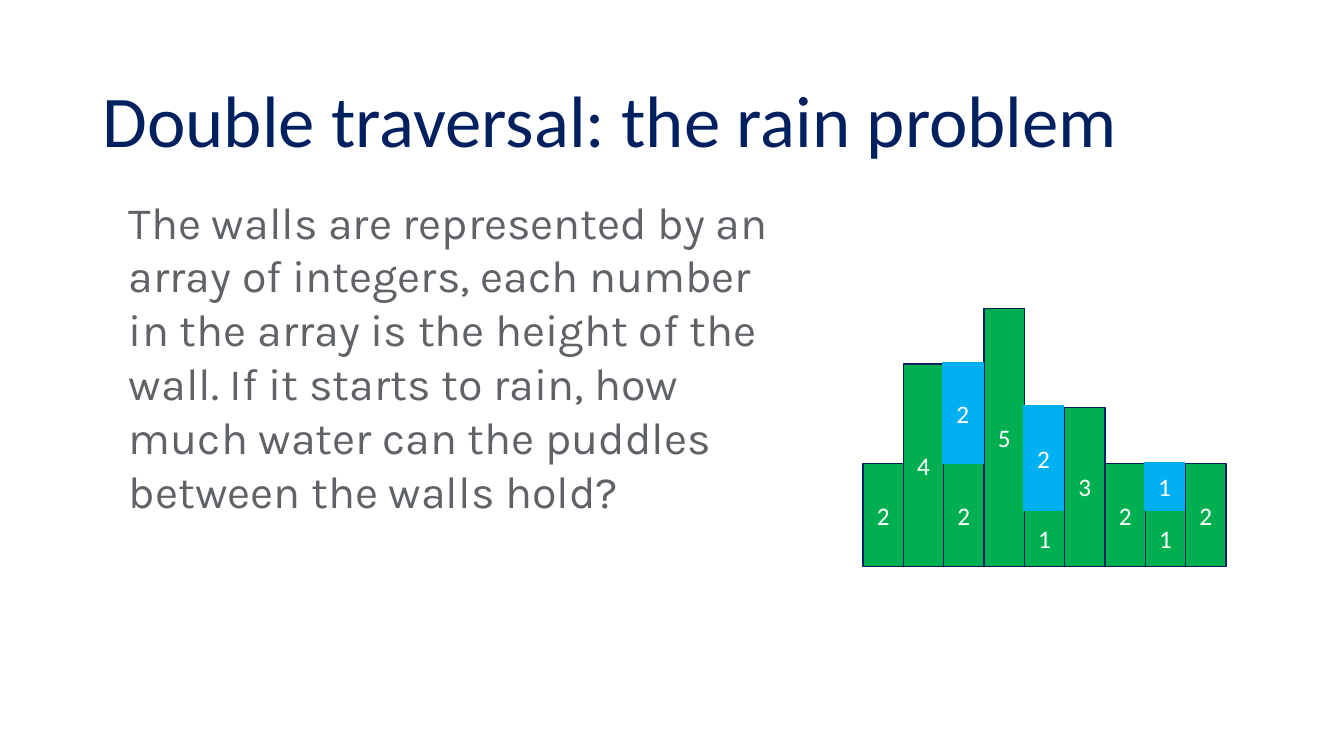
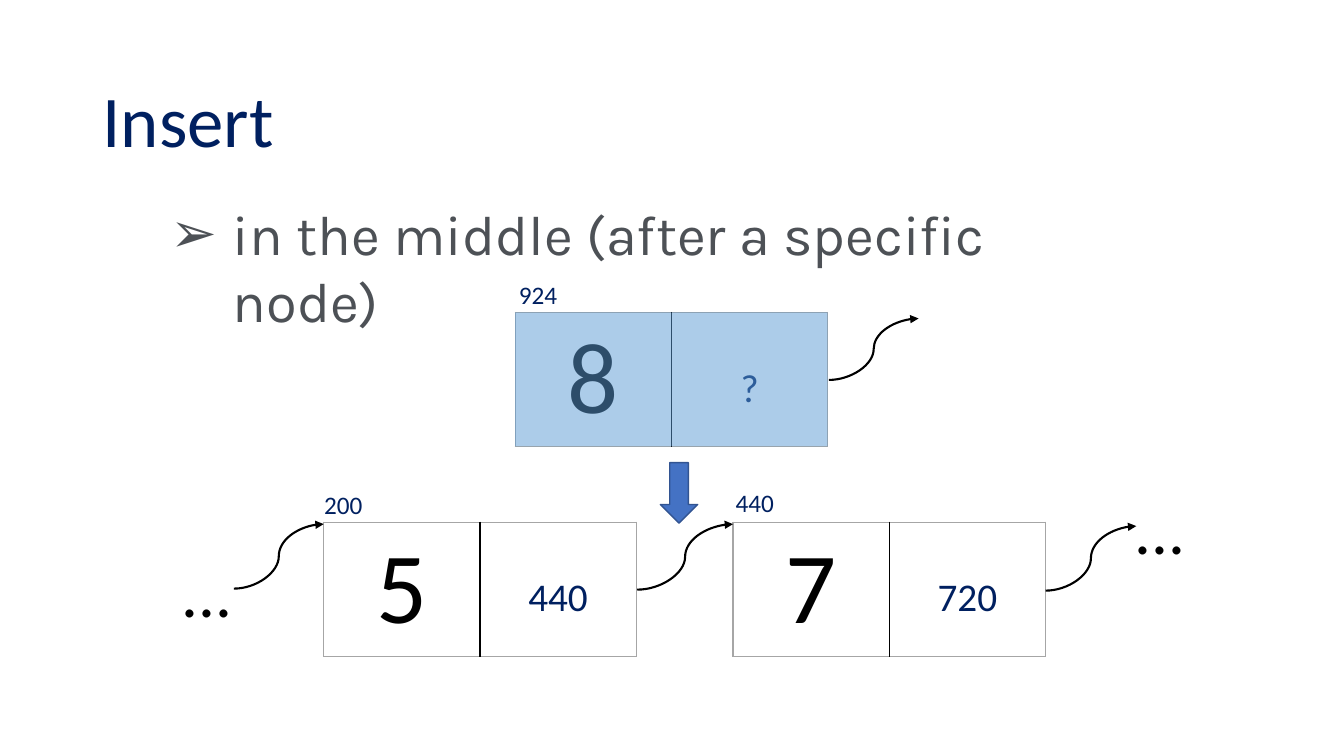
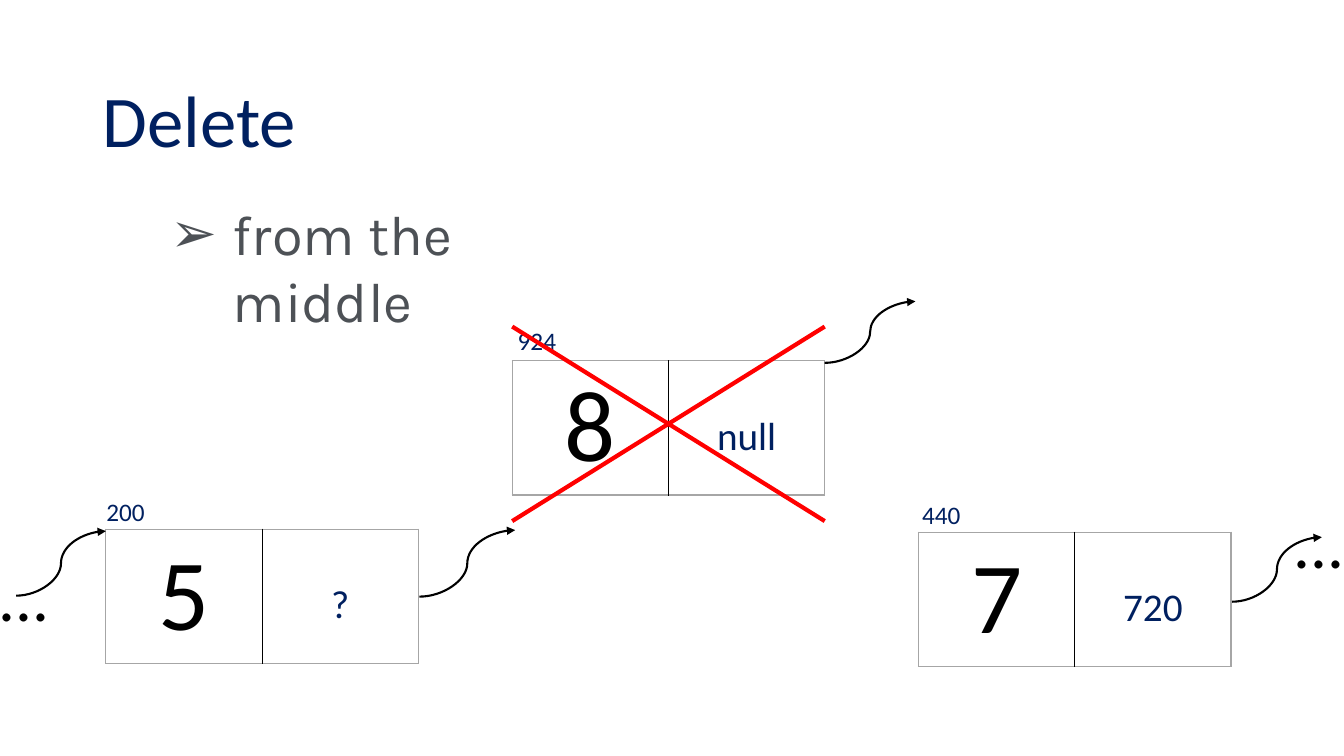
from dataclasses import dataclass

from lxml.etree import SubElement
from pptx import Presentation
from pptx.dml.color import RGBColor
from pptx.enum.shapes import MSO_CONNECTOR as Connector, MSO_SHAPE as Preset
from pptx.enum.text import MSO_ANCHOR as Anchor, MSO_AUTO_SIZE as AutoSize, PP_ALIGN as Align
from pptx.oxml.ns import qn
from pptx.util import Inches, Pt


@dataclass(frozen=True)
class Theme:
    heading_font: str = "Calibri"
    body_font: str = "Karla"
    navy: str = "002060"
    black: str = "000000"
    white: str = "FFFFFF"
    grey: str = "5F6368"
    dark_grey: str = "4D5156"
    border: str = "A6A6A6"
    wall: str = "00B050"
    water: str = "00B0F0"
    highlight: str = "5B9BD5"
    arrow: str = "4472C4"
    arrow_line: str = "325491"
    cross: str = "FF0000"
    title_size: int = 52
    body_size: int = 32
    bullet_size: int = 40
    value_size: int = 72
    ellipsis_size: int = 48
    pointer_size: int = 28
    label_size: int = 18


THEME = Theme()
WALLS = [2, 4, 2, 5, 1, 3, 2, 1, 2]
WALL_HEIGHT = {1: 0.56, 2: 1.02, 3: 1.58, 4: 2.01, 5: 2.56}
WALL_LEFT, WALL_WIDTH, GROUND = 8.56, 0.4, 5.62
NODE_WIDTH, NODE_HEIGHT = 3.1, 1.33


def rgb(color):
    return RGBColor.from_string(color)


def style_text(paragraph, size, color, font=THEME.heading_font, align=None):
    paragraph.font.name = font
    paragraph.font.size = Pt(size)
    paragraph.font.color.rgb = rgb(color)
    paragraph.alignment = align


def add_text(slide, box, text, size, color, font=THEME.heading_font, align=None, wrap=True):
    shape = slide.shapes.add_textbox(*map(Inches, box))
    frame = shape.text_frame
    frame.word_wrap = wrap
    frame.auto_size = AutoSize.SHAPE_TO_FIT_TEXT
    frame.text = text
    style_text(frame.paragraphs[0], size, color, font, align)
    return frame


def add_titled_slide(presentation, title):
    slide = presentation.slides.add_slide(presentation.slide_layouts[6])
    frame = add_text(slide, (0.92, 0.61, 11.5, 1.24), title, THEME.title_size, THEME.navy)
    frame.auto_size = AutoSize.NONE
    frame.vertical_anchor = Anchor.MIDDLE
    frame.paragraphs[0].line_spacing = 0.9
    return slide


def add_bullet(slide, width, text):
    frame = add_text(slide, (1.09, 1.93, width, 0.77), text, THEME.bullet_size,
                     THEME.dark_grey, THEME.body_font)
    paragraph = frame.paragraphs[0]
    paragraph.level = 1
    properties = paragraph._p.get_or_add_pPr()
    properties.set("marL", str(Inches(1.12)))
    properties.set("indent", str(Inches(-0.62)))
    bullet_font = properties.makeelement(qn("a:buFont"), {"typeface": "Arial"})
    bullet = properties.makeelement(qn("a:buChar"), {"char": "➢"})
    properties.insert_element_before(bullet_font, "a:tabLst", "a:defRPr", "a:extLst")
    properties.insert_element_before(bullet, "a:tabLst", "a:defRPr", "a:extLst")


def add_shape(slide, preset, box, fill, line=None):
    shape = slide.shapes.add_shape(preset, *map(Inches, box))
    shape.shadow.inherit = False
    shape.fill.solid()
    shape.fill.fore_color.rgb = rgb(fill)
    if line:
        shape.line.color.rgb = rgb(line)
        shape.line.width = Pt(1)
    else:
        shape.line.fill.background()
    return shape


def add_bar(slide, box, number, fill, line):
    frame = add_shape(slide, Preset.RECTANGLE, box, fill, line).text_frame
    frame.text = str(number)
    frame.vertical_anchor = Anchor.MIDDLE
    style_text(frame.paragraphs[0], THEME.label_size, THEME.white, align=Align.CENTER)


def add_walls(slide):
    for index, height in enumerate(WALLS):
        size = WALL_HEIGHT[height]
        box = (WALL_LEFT + index * WALL_WIDTH, GROUND - size, WALL_WIDTH, size)
        add_bar(slide, box, height, THEME.wall, THEME.navy)


def add_puddles(slide):
    for index, height in enumerate(WALLS):
        level = min(max(WALLS[:index + 1]), max(WALLS[index:]))
        if level > height:
            depth = WALL_HEIGHT[level] - WALL_HEIGHT[height] + 0.01
            box = (WALL_LEFT + index * WALL_WIDTH - 0.01,
                   GROUND - WALL_HEIGHT[level] - 0.01, WALL_WIDTH, depth)
            add_bar(slide, box, level - height, THEME.water, THEME.water)


def set_border(cell, side, color):
    properties = cell._tc.get_or_add_tcPr()
    line = properties.makeelement(qn(f"a:{side}"), {"w": str(Pt(1))})
    fill = SubElement(line, qn("a:solidFill"))
    SubElement(fill, qn("a:srgbClr"), val=color)
    properties.append(line)


def add_node(slide, left, top, value, pointer, address, label_left, label_top):
    box = map(Inches, (left, top, NODE_WIDTH, NODE_HEIGHT))
    table = slide.shapes.add_table(1, 2, *box).table
    table.first_row = False
    table.horz_banding = False
    contents = [(value, THEME.value_size, THEME.black, "lnR"),
                (pointer, THEME.pointer_size, THEME.navy, "lnL")]
    for cell, (text, size, color, divider) in zip(table.rows[0].cells, contents):
        cell.text = text
        style_text(cell.text_frame.paragraphs[0], size, color, align=Align.CENTER)
        for side in ("lnL", "lnR", "lnT", "lnB"):
            set_border(cell, side, THEME.black if side == divider else THEME.border)
        cell.fill.background()
    table.cell(0, 1).margin_top = Inches(0.52)
    add_text(slide, (label_left, label_top, 0.89, 0.4), address, THEME.label_size,
             THEME.navy, align=Align.CENTER)


def add_line(slide, kind, start, end, color, width):
    line = slide.shapes.add_connector(kind, *map(Inches, (*start, *end)))
    line.line.color.rgb = rgb(color)
    line.line.width = Pt(width)
    SubElement(line._element.spPr, qn("a:effectLst"))
    return line


def add_pointer(slide, start, end):
    pointer = add_line(slide, Connector.CURVE, start, end, THEME.black, 1.5)
    SubElement(pointer.line._get_or_add_ln(), qn("a:tailEnd"), type="triangle")


def add_ellipsis(slide, left, top):
    add_text(slide, (left, top, 0.71, 0.91), "...", THEME.ellipsis_size, THEME.black, wrap=False)


def build_rain(presentation):
    slide = add_titled_slide(presentation, "Double traversal: the rain problem")
    add_text(slide, (1.18, 1.88, 6.61, 3.33),
             "The walls are represented by an array of integers, each number in the array "
             "is the height of the wall. If it starts to rain, how much water can the "
             "puddles between the walls hold?",
             THEME.body_size, THEME.grey, THEME.body_font)
    add_walls(slide)
    add_puddles(slide)


def build_insert(presentation):
    slide = add_titled_slide(presentation, "Insert")
    add_bullet(slide, 9.54, "in the middle (after a specific node)")
    add_node(slide, 5.11, 3.1, "8", "?", "924", 4.89, 2.72)
    highlight = add_shape(slide, Preset.RECTANGLE, (5.11, 3.1, NODE_WIDTH, NODE_HEIGHT),
                          THEME.highlight)
    color = highlight._element.spPr.find(qn("a:solidFill"))[0]
    SubElement(color, qn("a:alpha"), val="50000")
    add_node(slide, 3.21, 5.18, "5", "440", "200", 2.96, 4.81)
    add_node(slide, 7.27, 5.18, "7", "720", "440", 7.04, 4.79)
    for start, end in [((8.22, 3.77), (9.11, 3.16)), ((2.32, 5.84), (3.21, 5.2)),
                       ((6.32, 5.85), (7.27, 5.2)), ((10.37, 5.86), (11.27, 5.22))]:
        add_pointer(slide, start, end)
    add_ellipsis(slide, 1.7, 5.41)
    add_ellipsis(slide, 11.15, 4.79)
    add_shape(slide, Preset.DOWN_ARROW, (6.55, 4.59, 0.37, 0.6), THEME.arrow, THEME.arrow_line)


def build_delete(presentation):
    slide = add_titled_slide(presentation, "Delete")
    add_bullet(slide, 5.19, "from the middle")
    add_node(slide, 5.08, 3.58, "8", "null", "924", 4.88, 3.18)
    add_node(slide, 1.05, 5.25, "5", "?", "200", 0.8, 4.87)
    add_node(slide, 9.11, 5.28, "7", "720", "440", 8.89, 4.9)
    for start, end in [((8.18, 3.6), (9.08, 2.99)), ((0.16, 5.91), (1.05, 5.27)),
                       ((4.16, 5.92), (5.11, 5.26)), ((12.22, 5.97), (13.11, 5.33))]:
        add_pointer(slide, start, end)
    add_ellipsis(slide, 12.73, 4.92)
    add_ellipsis(slide, -0.11, 5.45)
    for start_y, end_y in [(5.17, 3.24), (3.24, 5.17)]:
        add_line(slide, Connector.STRAIGHT, (5.08, start_y), (8.18, end_y), THEME.cross, 3)


def main():
    presentation = Presentation()
    presentation.slide_width = Inches(13.33)
    presentation.slide_height = Inches(7.5)
    build_rain(presentation)
    build_insert(presentation)
    build_delete(presentation)
    presentation.save("out.pptx")


if __name__ == "__main__":
    main()
